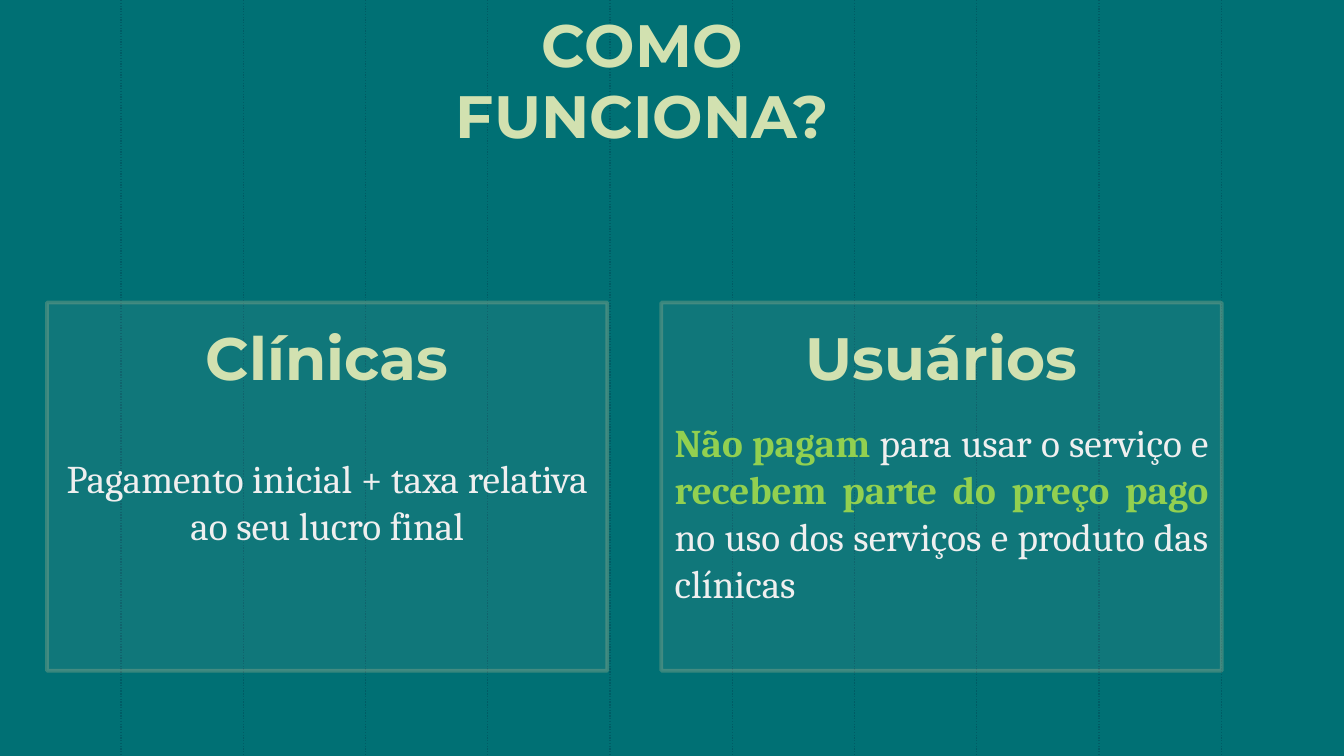
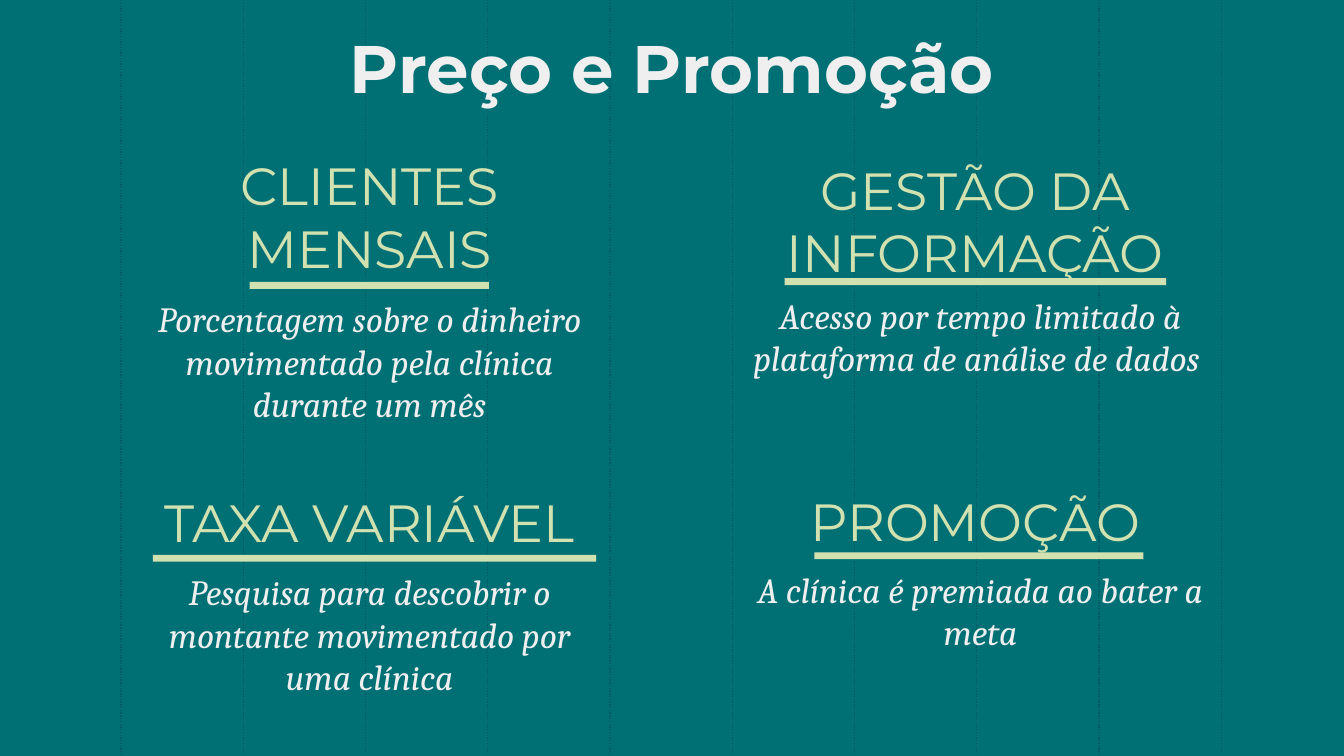
from lxml.etree import SubElement
from pptx import Presentation
from pptx.dml.color import RGBColor
from pptx.enum.dml import MSO_LINE
from pptx.enum.shapes import MSO_CONNECTOR, MSO_SHAPE
from pptx.enum.text import MSO_ANCHOR, MSO_AUTO_SIZE, PP_ALIGN
from pptx.oxml.ns import qn
from pptx.util import Cm, Pt

WIDTH, HEIGHT = 25.4, 14.29
TEAL, GUIDE, LIME, WHITE = "007074", "005C65", "D2E1B0", "EFEFEF"
GREEN, GREY, SAND = "92D050", "CCCCCC", "D8C698"
HEAD, BODY = "Montserrat", "Cambria"


def rgb(color):
    return RGBColor.from_string(color)


def write(sp, runs, font=BODY, size=21, color=WHITE, bold=False, italic=False,
          align=PP_ALIGN.CENTER, anchor=MSO_ANCHOR.TOP, pad=0.13):
    tf = sp.text_frame
    tf.word_wrap = True
    tf.auto_size = MSO_AUTO_SIZE.NONE
    tf.vertical_anchor = anchor
    tf.margin_left = tf.margin_right = Cm(0.25)
    tf.margin_top = tf.margin_bottom = Cm(pad)
    p = tf.paragraphs[0]
    p.alignment = align
    for text, accent in [(runs, None)] if isinstance(runs, str) else runs:
        r = p.add_run()
        r.text = text
        r.font.name = font
        r.font.size = Pt(size)
        r.font.bold = bold or bool(accent)
        r.font.italic = italic
        r.font.color.rgb = rgb(accent or color)


def add_text(s, box, runs, **style):
    write(s.shapes.add_textbox(*map(Cm, box)), runs, **style)


def add_heading(s, box, text, **style):
    add_text(s, box, text, font=HEAD, color=LIME, anchor=MSO_ANCHOR.MIDDLE,
             pad=0.25, **style)


def add_title(s, box, text, size, color):
    sp = s.shapes.title
    sp.left, sp.top, sp.width, sp.height = map(Cm, box)
    write(sp, text, font=HEAD, size=size, color=color, bold=True,
          anchor=MSO_ANCHOR.MIDDLE, pad=0.25)


def add_rect(s, box, fill):
    sp = s.shapes.add_shape(MSO_SHAPE.RECTANGLE, *map(Cm, box))
    sp.shadow.inherit = False
    sp.fill.solid()
    sp.fill.fore_color.rgb = rgb(fill)
    sp.line.fill.background()
    return sp


def set_alpha(fill, percent):
    for clr in fill.iter(qn("a:srgbClr")):
        SubElement(clr, qn("a:alpha"), val=str(percent * 1000))


def add_guides(s, layout):
    for i in range(10):
        x = Cm(2.29 + 2.31 * i)
        line = s.shapes.add_connector(MSO_CONNECTOR.STRAIGHT, x, 0, x, Cm(HEIGHT))
        line.line.color.rgb = rgb(GUIDE)
        line.line.width = Pt(0.75)
        line.line.dash_style = MSO_LINE.ROUND_DOT
        SubElement(line.element.spPr, qn("a:effectLst"))
        layout.shapes.element.append(line.element)


def add_card(s, box, heading, runs, body_top, body_height, **style):
    x, y, w, h = box
    sp = add_rect(s, box, GREY)
    sp.line.color.rgb = rgb(SAND)
    sp.line.width = Pt(2)
    spPr = sp.element.spPr
    set_alpha(spPr.find(qn("a:solidFill")), 8)
    set_alpha(spPr.find(qn("a:ln")), 26)
    add_heading(s, (x, y, w, 2.03), heading, size=32, bold=True)
    add_text(s, (x, y + body_top, w, body_height), runs, **style)


def add_topic(s, box, heading, text, rule, body_width, body_height):
    x, y, w, h = box
    rule_x, rule_y, rule_width = rule
    add_heading(s, box, heading, size=28)
    add_rect(s, (x + rule_x, y + rule_y, rule_width, 0.13), LIME)
    add_text(s, (x, y + rule_y + 0.16, body_width, body_height), text,
             size=19, italic=True)


def build_how_it_works(s):
    add_title(s, (8.1, -0.74, 8.08, 4.47), "COMO FUNCIONA?", 32, LIME)
    add_card(s, (0.89, 5.72, 10.59, 6.96), "Clínicas",
             "Pagamento inicial + taxa relativa ao seu lucro final",
             2.72, 2.06, anchor=MSO_ANCHOR.MIDDLE)
    add_card(s, (12.5, 5.72, 10.59, 6.96), "Usuários",
             [("Não pagam ", GREEN), ("para usar o serviço e ", None),
              ("recebem parte do preço pago", GREEN),
              (" no uso dos serviços e produto das clínicas", None)],
             2.06, 4.75, align=PP_ALIGN.JUSTIFY)


def build_price(s):
    add_title(s, (2.36, 0.25, 20.68, 2), "Preço e Promoção", 36, WHITE)
    left, right = 2.36, 13.82
    add_topic(s, (left, 2.72, 9.25, 2.72), "CLIENTES MENSAIS",
              "Porcentagem sobre o dinheiro movimentado pela clínica durante um mês",
              (2.36, 2.61, 4.52), 9.25, 2.69)
    add_topic(s, (right, 2.95, 9.22, 2.44), "GESTÃO DA INFORMAÇÃO",
              "Acesso por tempo limitado à plataforma de análise de dados ",
              (1.01, 2.31, 7.21), 9.42, 1.88)
    add_topic(s, (left, 8.99, 9.25, 1.75), "TAXA VARIÁVEL",
              "Pesquisa para descobrir o montante movimentado por uma clínica",
              (0.53, 1.5, 8.38), 9.25, 2.69)
    add_topic(s, (right, 8.92, 9.22, 1.85), "PROMOÇÃO",
              "A clínica é premiada ao bater a meta",
              (1.57, 1.52, 6.22), 9.42, 1.88)


def main():
    prs = Presentation()
    prs.slide_width, prs.slide_height = Cm(WIDTH), Cm(HEIGHT)
    fill = prs.slide_master.background.fill
    fill.solid()
    fill.fore_color.rgb = rgb(TEAL)
    layout = prs.slide_layouts[5]
    for build in (build_how_it_works, build_price):
        s = prs.slides.add_slide(layout)
        if len(prs.slides) == 1:
            add_guides(s, layout)
        build(s)
    prs.save("out.pptx")


if __name__ == "__main__":
    main()
